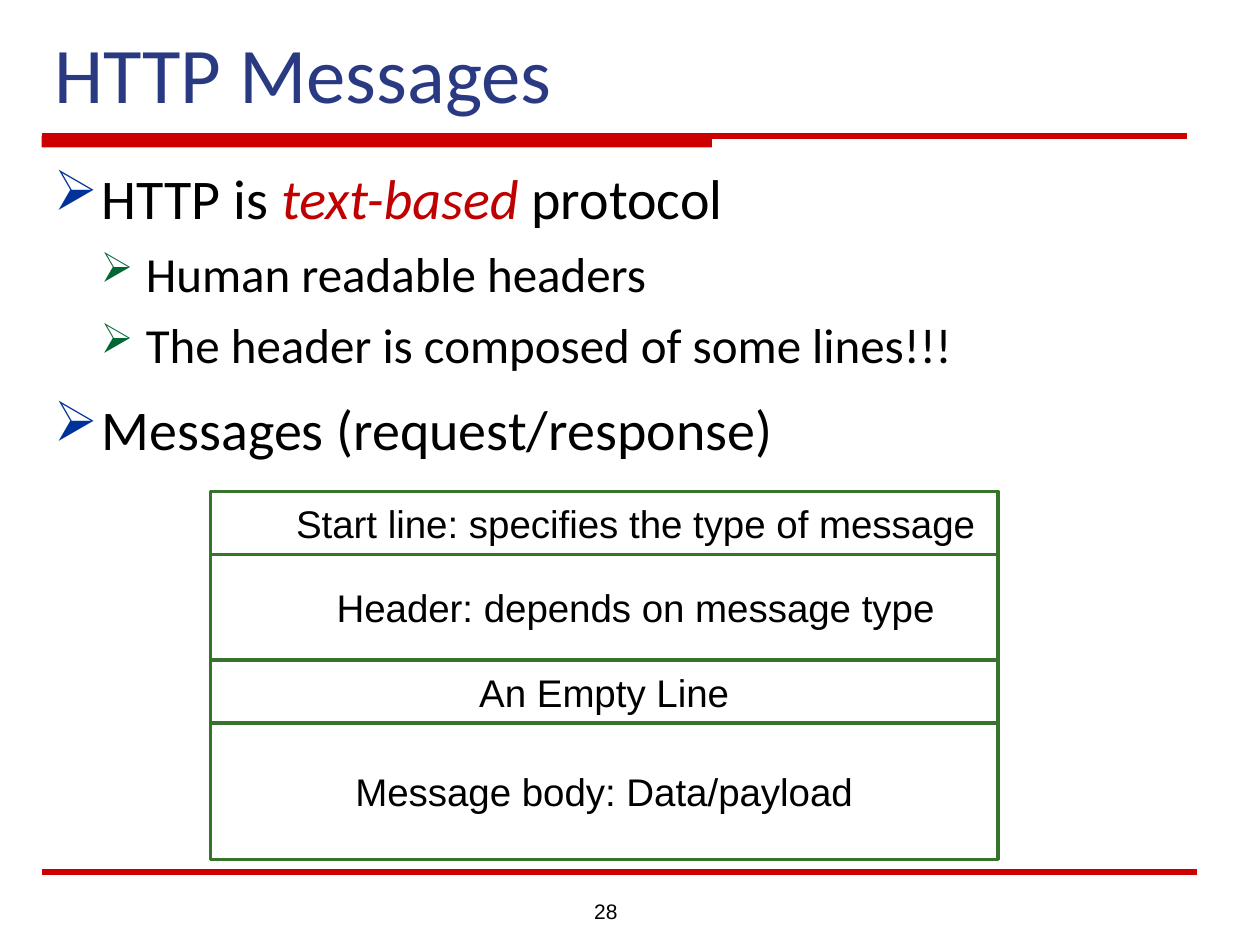
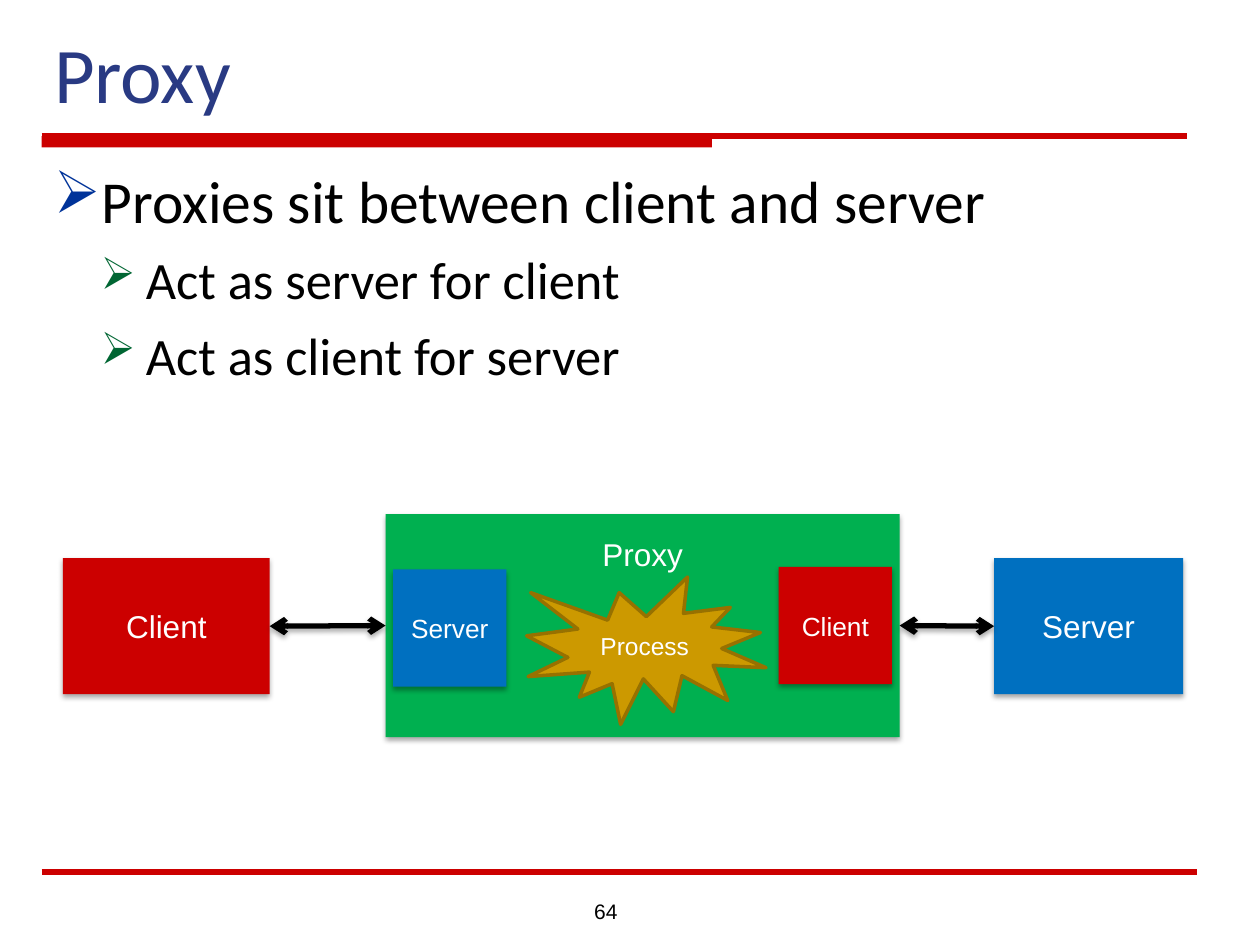
from dataclasses import dataclass
from itertools import accumulate

from lxml import etree
from pptx import Presentation
from pptx.dml.color import RGBColor
from pptx.enum.shapes import MSO_CONNECTOR, MSO_SHAPE
from pptx.enum.text import MSO_ANCHOR, MSO_AUTO_SIZE, PP_ALIGN
from pptx.oxml.ns import qn
from pptx.shapes.autoshape import Shape
from pptx.shapes.connector import Connector
from pptx.slide import Slide
from pptx.util import Inches, Pt

RECT, BURST = MSO_SHAPE.RECTANGLE, MSO_SHAPE.EXPLOSION1
STRAIGHT = MSO_CONNECTOR.STRAIGHT
LEFT, CENTER, RIGHT = PP_ALIGN.LEFT, PP_ALIGN.CENTER, PP_ALIGN.RIGHT
TOP, MIDDLE, BOTTOM = MSO_ANCHOR.TOP, MSO_ANCHOR.MIDDLE, MSO_ANCHOR.BOTTOM
FIXED = MSO_AUTO_SIZE.NONE

# Shared colours and fonts
RED, BLUE, GREEN = "CC0000", "0070C0", "00B050"
BLACK, WHITE, NAVY = "000000", "FFFFFF", "293A83"
HEAD, BASE = "Calibri", "Arial"


@dataclass
class Span:
    text: str
    color: str = BLACK
    slant: bool = False


@dataclass
class Point:
    spans: list[Span]
    size: float
    level: int = 0


@dataclass
class Level:
    margin: float
    indent: float
    before: float
    color: str
    scale: int


@dataclass
class Box:
    text: str
    left: float
    top: float
    width: float
    height: float
    fill: str
    size: float = 18
    color: str = WHITE
    line: str = ""
    shade: bool = True
    kind: MSO_SHAPE = RECT
    anchor: MSO_ANCHOR = MIDDLE
    indent: float = 0


LEVELS = [Level(0.38, -0.38, 12, "003399", 100),
          Level(0.73, -0.36, 7, "006633", 85)]


def rgb(code: str) -> RGBColor:
    return RGBColor.from_string(code)


def add_run(para, text: str, size: float, color: str, face: str = BASE,
            slant: bool = False) -> None:
    run = para.add_run()
    run.text = text
    font = run.font
    font.name, font.size, font.italic = face, Pt(size), slant
    font.color.rgb = rgb(color)


def sub(node, tag: str, **attrs: str):
    return etree.SubElement(node, qn(tag), attrs)


def cast(effects) -> None:
    """Add a soft shadow that falls straight down."""
    glow = sub(effects, "a:outerShdw", blurRad=str(Pt(3.1)), dist=str(Pt(1.8)),
               dir="5400000", rotWithShape="0")
    tint = sub(glow, "a:srgbClr", val=BLACK)
    sub(tint, "a:alpha", val="35000")


def add_box(slide: Slide, box: Box) -> Shape:
    shape = slide.shapes.add_shape(box.kind, Inches(box.left), Inches(box.top),
                                   Inches(box.width), Inches(box.height))
    shape.fill.solid()
    shape.fill.fore_color.rgb = rgb(box.fill)
    if box.line:
        shape.line.color.rgb = rgb(box.line)
        shape.line.width = Pt(2)
    else:
        shape.line.fill.background()
    shape.shadow.inherit = False
    if box.shade:
        cast(shape._element.spPr.find(qn("a:effectLst")))
    if box.text:
        frame = shape.text_frame
        frame.word_wrap, frame.vertical_anchor = True, box.anchor
        if box.anchor == TOP:
            frame.margin_top = Inches(0.17)
        para = frame.paragraphs[0]
        para.alignment = CENTER
        if box.indent:
            para._p.get_or_add_pPr().set("marL", str(Inches(box.indent)))
        add_run(para, box.text, box.size, box.color)
    return shape


def add_line(slide: Slide, x1: float, y1: float, x2: float, y2: float,
             color: str = RED) -> Connector:
    line = slide.shapes.add_connector(STRAIGHT, Inches(x1), Inches(y1),
                                      Inches(x2), Inches(y2))
    line.line.color.rgb = rgb(color)
    line.line.width = Pt(3)
    sub(line._element.spPr, "a:effectLst")
    return line


def link(slide: Slide, first: Shape, last: Shape) -> None:
    """Join two boxes side by side with a double arrow."""
    arrow = add_line(slide, 0, 0, 1, 0, BLACK)
    arrow.begin_connect(first, 3)
    arrow.end_connect(last, 1)
    props = arrow._element.spPr
    for end in ("a:headEnd", "a:tailEnd"):
        sub(props.find(qn("a:ln")), end, type="arrow")
    cast(props.find(qn("a:effectLst")))


def add_points(slide: Slide, points: list[Point]) -> None:
    body = slide.shapes.add_textbox(Inches(0.33), Inches(1.25),
                                    Inches(9.17), Inches(5.67))
    frame = body.text_frame
    frame.word_wrap = True
    for index, point in enumerate(points):
        para = frame.add_paragraph() if index else frame.paragraphs[0]
        level = LEVELS[point.level]
        para.level = point.level
        para.space_before = Pt(level.before)
        props = para._p.get_or_add_pPr()
        props.set("marL", str(Inches(level.margin)))
        props.set("indent", str(Inches(level.indent)))
        sub(sub(props, "a:buClr"), "a:srgbClr", val=level.color)
        sub(props, "a:buSzPct", val=str(level.scale * 1000))
        sub(props, "a:buChar", char="➢")
        for span in point.spans:
            add_run(para, span.text, point.size, span.color, HEAD, span.slant)


def add_slide(deck, title: str, number: int, points: list[Point]) -> Slide:
    slide = deck.slides.add_slide(deck.slide_layouts[5])
    # Bands
    add_box(slide, Box("", 0.33, 1.08, 5.32, 0.09, RED, shade=False))
    add_line(slide, 0.33, 1.08, 9.42, 1.08)
    add_line(slide, 0.33, 6.92, 9.5, 6.92)
    # Title
    head = slide.shapes.title
    head.left, head.top = Inches(0.33), Inches(0.17)
    head.width, head.height = Inches(9.25), Inches(0.83)
    frame = head.text_frame
    frame.auto_size, frame.vertical_anchor = FIXED, BOTTOM
    frame.paragraphs[0].alignment = LEFT
    add_run(frame.paragraphs[0], title, 45, NAVY, HEAD)
    # Bullets and slide number
    add_points(slide, points)
    foot = slide.shapes.add_textbox(Inches(4.33), Inches(7.08),
                                    Inches(0.67), Inches(0.27))
    foot.text_frame.word_wrap = True
    para = foot.text_frame.paragraphs[0]
    para.alignment = RIGHT
    add_run(para, str(number), 12, BLACK)
    return slide


def add_http(deck) -> None:
    slide = add_slide(deck, "HTTP Messages", 28, [
        Point([Span("HTTP is "), Span("text-based", "C00000", True),
               Span(" protocol")], 32),
        Point([Span("Human readable headers")], 28, 1),
        Point([Span("The header is composed of some lines!!!")], 28, 1),
        Point([Span("Messages (request/response)")], 32),
    ])
    # Message layout: stacked rows of text, height and indent
    rows = [("Start line: specifies the type of message", 0.5, 0.5),
            ("Header: depends on message type", 0.84, 0.5),
            ("An Empty Line", 0.5, 0),
            ("Message body: Data/payload", 1.08, 0)]
    tops = accumulate((row[1] for row in rows), initial=3.9)
    for (text, height, indent), top in zip(rows, tops):
        add_box(slide, Box(text, 1.67, top, 6.25, height, WHITE, 22, BLACK,
                           "35742A", False, indent=indent))


def add_proxy(deck) -> None:
    slide = add_slide(deck, "Proxy", 64, [
        Point([Span("Proxies sit between client and server")], 34),
        Point([Span("Act as server for client")], 30, 1),
        Point([Span("Act as client for server")], 30, 1),
    ])
    # Outer boxes and their links
    client, proxy, server = [add_box(slide, box) for box in (
        Box("Client", 0.5, 4.43, 1.64, 1.08, RED),
        Box("Proxy", 3.06, 4.08, 4.08, 1.77, GREEN, anchor=TOP),
        Box("Server", 7.89, 4.43, 1.5, 1.08, BLUE),
    )]
    link(slide, client, proxy)
    link(slide, proxy, server)
    # Inside the proxy
    for box in (
        Box("Server", 3.12, 4.52, 0.9, 0.93, BLUE, 15),
        Box("Client", 6.18, 4.5, 0.9, 0.93, RED, 15),
        Box("Process", 4.18, 4.58, 1.9, 1.17, "CC9900", 14, line="977100",
            shade=False, kind=BURST),
    ):
        add_box(slide, box)


def main() -> None:
    deck = Presentation()
    deck.slide_width, deck.slide_height = Inches(10), Inches(7.5)
    add_http(deck)
    add_proxy(deck)
    deck.save("out.pptx")


if __name__ == "__main__":
    main()
